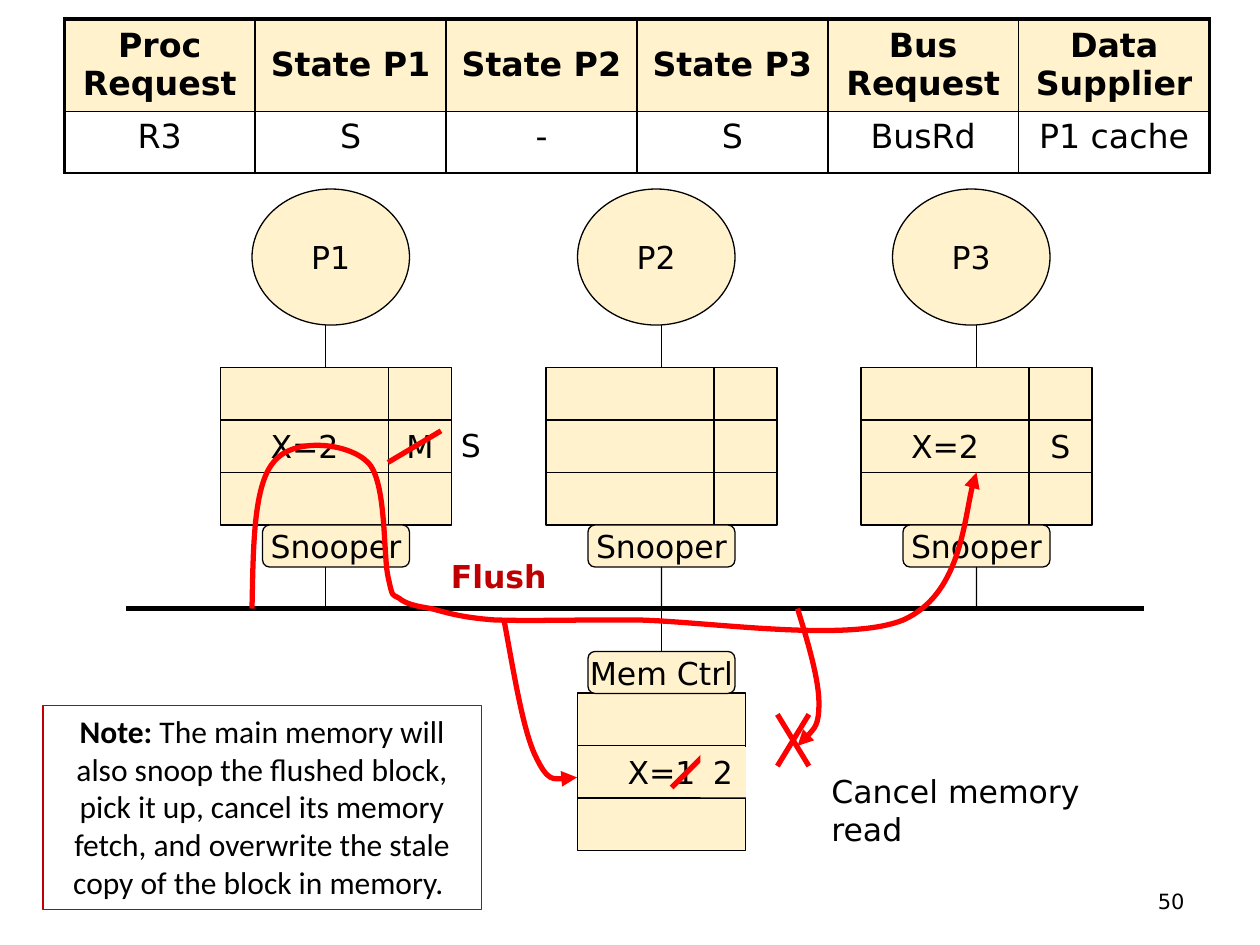
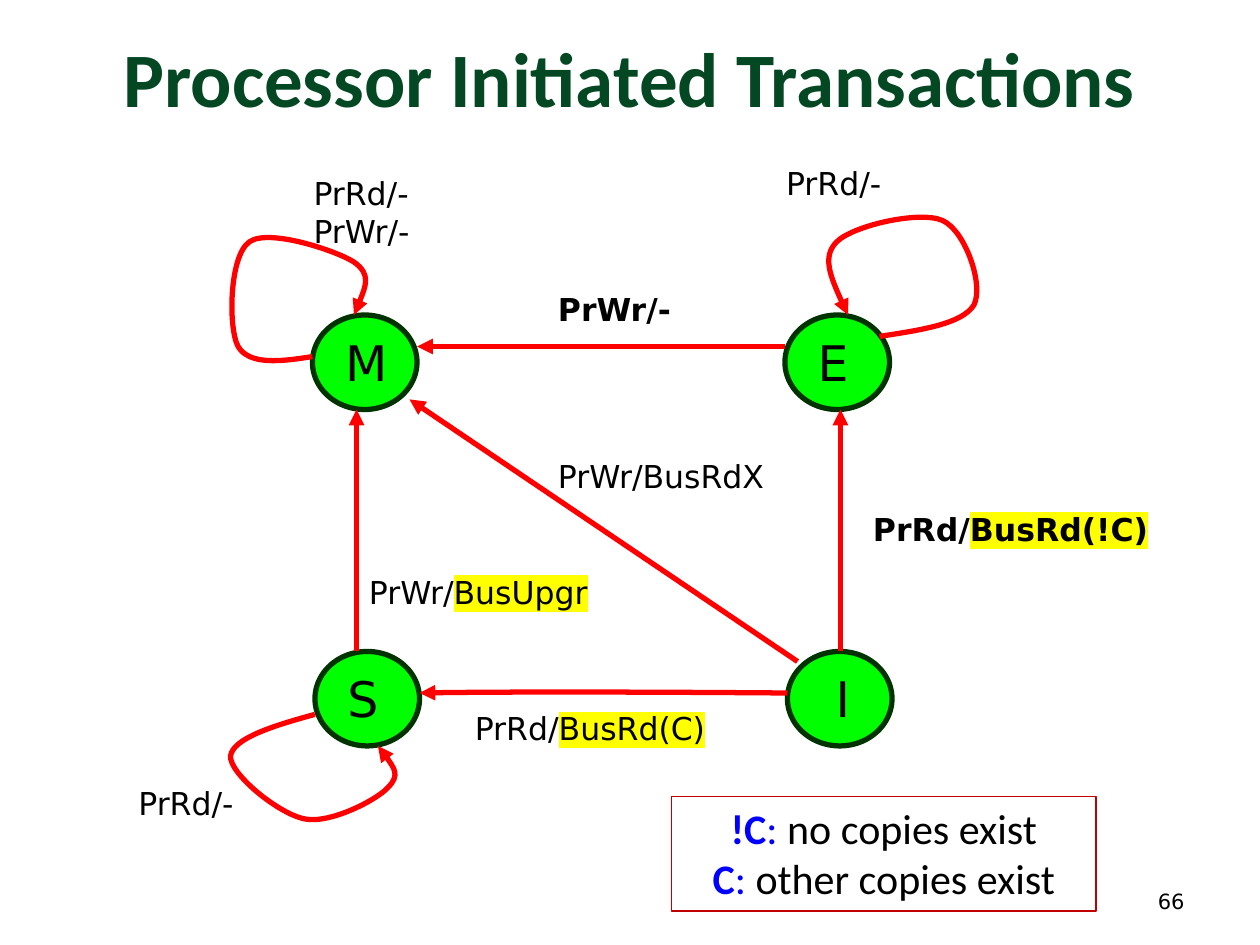
"""Builds two slides on cache coherence: a snooping bus and a processor state diagram."""
from lxml.etree import SubElement
from pptx import Presentation
from pptx.dml.color import RGBColor
from pptx.enum.shapes import MSO_CONNECTOR, MSO_SHAPE
from pptx.enum.text import MSO_ANCHOR, MSO_AUTO_SIZE, PP_ALIGN
from pptx.oxml.ns import qn
from pptx.util import Inches, Pt

COLORS = {
    "black": "000000", "cream": "FFF2CC", "red": "FF0000", "dark_red": "C00000",
    "title": "044823", "green": "00FF00", "dark_green": "003300",
    "blue": "0000FF", "yellow": "FFFF00",
}
SANS, CALIBRI = "DejaVu Sans", "Calibri"
LEFT, CENTER, RIGHT = PP_ALIGN.LEFT, PP_ALIGN.CENTER, PP_ALIGN.RIGHT

REQUESTS = [
    ["Proc Request", "State P1", "State P2", "State P3", "Bus Request", "Data Supplier"],
    ["R3", "S", "-", "S", "BusRd", "P1 cache"],
]
PROCESSORS = [
    ("P1", 1.75, 31 / 12, "X=2", "M"),
    ("P2", 13 / 3, 5.25, "", ""),
    ("P3", 41 / 6, 7.75, "X=2", "S"),
]
CELL_WIDTH, CELL_HEIGHT, CACHE_TOP = 4 / 3, 5 / 12, 35 / 12
UNIT_WIDTH, UNIT_HEIGHT = 7 / 6, 1 / 3
BUS_TOP = 4.83
STRIKES = [
    ((6.42, 5.67), (6.17, 6.08)),
    ((6.17, 5.67), (6.42, 6.08)),
    ((5.33, 6.25), (5.58, 6)),
    ((3.08, 3.67), (3.5, 3.42)),
]
BUS_CURVES = [
    [(6.33, 4.83), (6.42, 5.12), (6.5, 5.4), (6.5, 5.58),
     (6.5, 5.76), (6.42, 5.84), (6.33, 5.92)],
    [(4, 4.92), (4.08, 5.35), (4.15, 5.79), (4.25, 6),
     (4.35, 6.21), (4.47, 6.19), (4.58, 6.17)],
    [(2, 4.83), (2.01, 4.35), (2.01, 3.86), (2.17, 3.67),
     (2.32, 3.47), (2.76, 3.51), (2.92, 3.67),
     (3.07, 3.82), (3.04, 4.4), (3.08, 4.58),
     (3.12, 4.76), (3.11, 4.71), (3.17, 4.75),
     (3.22, 4.79), (3.29, 4.81), (3.42, 4.83),
     (3.54, 4.86), (3.65, 4.9), (3.92, 4.92),
     (4.18, 4.93), (4.46, 4.92), (5, 4.92),
     (5.54, 4.92), (6.71, 5.11), (7.17, 4.92),
     (7.62, 4.72), (7.67, 3.94), (7.75, 3.75)],
]
NOTE = [[
    ("Note: ", {"bold": True}),
    "The main memory will also snoop the flushed block, pick it up, cancel its memory "
    "fetch, and overwrite the stale copy of the block in memory. ",
]]

STATES = [("M", 2.48, 2.5), ("S", 2.5, 5.17), ("E", 6.23, 2.5), (" I", 6.25, 5.17)]
STATE_CURVES = [
    [(2.48, 2.83), (2.23, 2.87), (1.98, 2.9), (1.89, 2.75),
     (1.81, 2.6), (1.82, 2.03), (1.98, 1.92),
     (2.13, 1.81), (2.67, 1.99), (2.81, 2.08),
     (2.95, 2.18), (2.88, 2.34), (2.81, 2.5)],
    [(6.98, 2.67), (7.31, 2.62), (7.64, 2.57), (7.73, 2.42),
     (7.81, 2.26), (7.66, 1.83), (7.48, 1.75),
     (7.3, 1.67), (6.77, 1.79), (6.64, 1.92),
     (6.52, 2.04), (6.62, 2.27), (6.73, 2.5)],
    [(2.5, 5.67), (2.17, 5.76), (1.85, 5.86), (1.83, 6),
     (1.82, 6.14), (2.21, 6.46), (2.42, 6.5),
     (2.62, 6.54), (2.99, 6.35), (3.08, 6.25),
     (3.18, 6.15), (3.09, 6.03), (3, 5.92)],
    [(6.25, 5.5), (5.01, 5.49), (3.76, 5.49), (3.33, 5.5)],
]
TRANSITIONS = [
    ((6.23, 2.75), (3.31, 2.75)),
    ((6.67, 5.17), (6.67, 3.25)),
    ((6.33, 5.25), (3.25, 3.17)),
    ((2.83, 5.17), (2.83, 3.25)),
]
MARKED = {"highlight": "yellow"}
TRANSITION_LABELS = [
    ((2.39, 1.33, 1.04, 0.7), ["PrRd/-", "PrWr/-"], False),
    ((6.14, 1.25, 1.02, 0.4), "PrRd/-", False),
    ((4.33, 2.25, 1.21, 0.4), "PrWr/-", True),
    ((6.83, 4, 2.52, 0.4), [["PrRd/", ("BusRd(!C)", MARKED)]], True),
    ((3.67, 5.58, 2.09, 0.4), [["PrRd/", ("BusRd(C)", MARKED)]], False),
    ((4.33, 3.58, 1.89, 0.4), "PrWr/BusRdX", False),
    ((2.83, 4.5, 1.99, 0.4), [["PrWr/", ("BusUpgr", MARKED)]], False),
    ((1, 6.17, 1.02, 0.4), "PrRd/-", False),
]
LEGEND = [
    [(name, {"bold": True, "color": "blue"}), (": ", {"color": "blue"}), meaning]
    for name, meaning in [("!C", "no copies exist"), ("C", "other copies exist")]
]


def rgb(name):
    return RGBColor.from_string(COLORS[name])


def write_text(frame, text, align=LEFT, **style):
    paragraphs = [text] if isinstance(text, str) else text
    for index, spans in enumerate(paragraphs):
        para = frame.add_paragraph() if index else frame.paragraphs[0]
        para.alignment = align
        for span in [spans] if isinstance(spans, str) else spans:
            words, changes = (span, {}) if isinstance(span, str) else span
            look = {"size": 18, "font": SANS, "color": "black", "bold": False,
                    "highlight": None, **style, **changes}
            run = para.add_run()
            run.text = words
            run.font.size, run.font.bold = Pt(look["size"]), look["bold"]
            run.font.color.rgb = rgb(look["color"])
            run.font.name = look["font"]
            if look["highlight"]:
                properties = run.font._element
                mark = SubElement(properties, qn("a:highlight"))
                SubElement(mark, qn("a:srgbClr"), val=COLORS[look["highlight"]])
                properties.find(qn("a:solidFill")).addnext(mark)


def add_box(page, at, text="", preset=None, fill=None, line=None, weight=0.75,
            wrap=False, anchor=MSO_ANCHOR.TOP, **style):
    place = [Inches(value) for value in at]
    if preset is None:
        box = page.shapes.add_textbox(*place)
    else:
        box = page.shapes.add_shape(preset, *place)
        box.shadow.inherit = False
    if fill:
        box.fill.solid()
        box.fill.fore_color.rgb = rgb(fill)
    else:
        box.fill.background()
    if line:
        box.line.color.rgb = rgb(line)
        box.line.width = Pt(weight)
    else:
        box.line.fill.background()
    frame = box.text_frame
    frame.word_wrap, frame.vertical_anchor = wrap, anchor
    if text:
        if anchor == MSO_ANCHOR.TOP:
            frame.auto_size = MSO_AUTO_SIZE.SHAPE_TO_FIT_TEXT
        write_text(frame, text, **style)
    return box


def add_part(page, at, text="", preset=MSO_SHAPE.RECTANGLE):
    return add_box(page, at, text, preset, fill="cream", line="black",
                   anchor=MSO_ANCHOR.MIDDLE, align=CENTER)


def add_unit(page, left, top, text):
    return add_part(page, (left, top, UNIT_WIDTH, UNIT_HEIGHT), text,
                    MSO_SHAPE.ROUNDED_RECTANGLE)


def style_line(shape, color, weight, arrow):
    shape.line.color.rgb = rgb(color)
    shape.line.width = Pt(weight)
    if arrow:
        SubElement(shape.line._get_or_add_ln(), qn("a:tailEnd"), type="triangle")


def add_line(page, start, end, color="black", weight=0.75, arrow=False):
    ends = [Inches(value) for value in (*start, *end)]
    line = page.shapes.add_connector(MSO_CONNECTOR.STRAIGHT, *ends)
    style_line(line, color, weight, arrow)
    SubElement(line._element.spPr, qn("a:effectLst"))
    return line


def add_curve(page, knots):
    start, *points = [(Inches(x), Inches(y)) for x, y in knots]
    builder = page.shapes.build_freeform(*start)
    builder.add_line_segments(points, close=False)
    curve = builder.convert_to_shape()
    outline = next(curve._element.iter(qn("a:path")))
    segments = outline.findall(qn("a:lnTo"))
    for first in range(0, len(segments), 3):
        bend = SubElement(outline, qn("a:cubicBezTo"))
        for segment in segments[first:first + 3]:
            bend.append(segment[0])
            outline.remove(segment)
    curve.shadow.inherit = False
    curve.fill.background()
    style_line(curve, "red", 3, True)


def add_page(deck, number):
    page = deck.slides.add_slide(deck.slide_layouts[6])
    add_box(page, (7.17, 6.95, 2.33, 0.4), number, wrap=True,
            anchor=MSO_ANCHOR.MIDDLE, align=RIGHT, size=12)
    return page


def add_request_table(page):
    rows, columns = len(REQUESTS), len(REQUESTS[0])
    table = page.shapes.add_table(rows, columns, Inches(0.51), Inches(0.15),
                                  Inches(9.09), Inches(1.22)).table
    table.first_row = table.horz_banding = False
    for row, height in enumerate((0.73, 0.49)):
        table.rows[row].height = Inches(height)
        for column, text in enumerate(REQUESTS[row]):
            cell = table.cell(row, column)
            outer = {"a:lnL": column == 0, "a:lnR": column == columns - 1,
                     "a:lnT": row == 0, "a:lnB": False}
            for side, thick in outer.items():
                border = SubElement(cell._tc.get_or_add_tcPr(), qn(side),
                                    w=str(Pt(2.25 if thick else 1)))
                paint = SubElement(border, qn("a:solidFill"))
                SubElement(paint, qn("a:srgbClr"), val=COLORS["black"])
            if row == 0:
                cell.fill.solid()
                cell.fill.fore_color.rgb = rgb("cream")
                cell.vertical_anchor = MSO_ANCHOR.MIDDLE
            else:
                cell.fill.background()
            write_text(cell.text_frame, text, align=CENTER, size=19, bold=row == 0)


def add_processor(page, name, left, wire, value, state):
    add_part(page, (left + 0.25, 1.5, 1.25, 1.08), name, MSO_SHAPE.OVAL)
    add_line(page, (wire, 2.58), (wire, CACHE_TOP))
    for row, texts in enumerate([("", ""), (value, state), ("", "")]):
        top = CACHE_TOP + row * CELL_HEIGHT
        add_part(page, (left, top, CELL_WIDTH, CELL_HEIGHT), texts[0])
        add_part(page, (left + CELL_WIDTH, top, 0.5, CELL_HEIGHT), texts[1])
    snooper_left = left + 1 / 3
    snooper = add_unit(page, snooper_left, CACHE_TOP + 3 * CELL_HEIGHT, "Snooper")
    drop = add_line(page, (wire, 4.5), (wire, BUS_TOP))
    if abs(snooper_left + UNIT_WIDTH / 2 - wire) < 0.01:
        drop.begin_connect(snooper, 2)


def build_bus_page(deck):
    page = add_page(deck, "50")
    for processor in PROCESSORS:
        add_processor(page, *processor)
    add_line(page, (1, BUS_TOP), (9.08, BUS_TOP), weight=3.25)
    for row, text in enumerate(("", "X=1", "")):
        add_part(page, (55 / 12, 5.5 + row * CELL_HEIGHT, CELL_WIDTH, CELL_HEIGHT), text)
    controller = add_unit(page, 14 / 3, 5.17, "Mem Ctrl")
    add_line(page, (5.25, BUS_TOP), (5.25, 5.17)).end_connect(controller, 0)
    for start, end in STRIKES:
        add_line(page, start, end, "red", 3)
    add_box(page, (5.56, 5.93, 0.36, 0.4), "2", MSO_SHAPE.RECTANGLE, fill="cream")
    add_box(page, (3.56, 3.33, 0.37, 0.4), "S")
    add_box(page, (6.5, 6.08, 2.81, 0.4), "Cancel memory read")
    for knots in BUS_CURVES:
        add_curve(page, knots)
    add_box(page, (3.48, 4.37, 0.96, 0.4), "Flush", bold=True, color="dark_red")
    add_request_table(page)
    add_box(page, (0.34, 5.6, 3.48, 1.62), NOTE, MSO_SHAPE.RECTANGLE, line="dark_red",
            wrap=True, align=CENTER, font=CALIBRI)


def build_state_page(deck):
    page = add_page(deck, "66")
    add_box(page, (0.12, -0.02, 9.76, 1.25), "Processor Initiated Transactions", wrap=True,
            anchor=MSO_ANCHOR.MIDDLE, align=CENTER, size=44, font=CALIBRI,
            bold=True, color="title")
    for name, left, top in STATES:
        add_box(page, (left, top, 0.83, 0.75), preset=MSO_SHAPE.OVAL,
                fill="green", line="dark_green", weight=3)
        add_box(page, (left + 0.16, top + 0.09, 0.5, 0.57), name, wrap=True, size=28)
    for knots in STATE_CURVES:
        add_curve(page, knots)
    for start, end in TRANSITIONS:
        add_line(page, start, end, "red", 3, arrow=True)
    for at, text, bold in TRANSITION_LABELS:
        add_box(page, at, text, bold=bold)
    add_box(page, (5.33, 6.32, 3.37, 0.91), LEGEND, MSO_SHAPE.RECTANGLE, line="dark_red",
            wrap=True, align=CENTER, size=24, font=CALIBRI)


def main():
    deck = Presentation()
    deck.slide_width, deck.slide_height = Inches(10), Inches(7.5)
    build_bus_page(deck)
    build_state_page(deck)
    deck.save("out.pptx")


if __name__ == "__main__":
    main()
